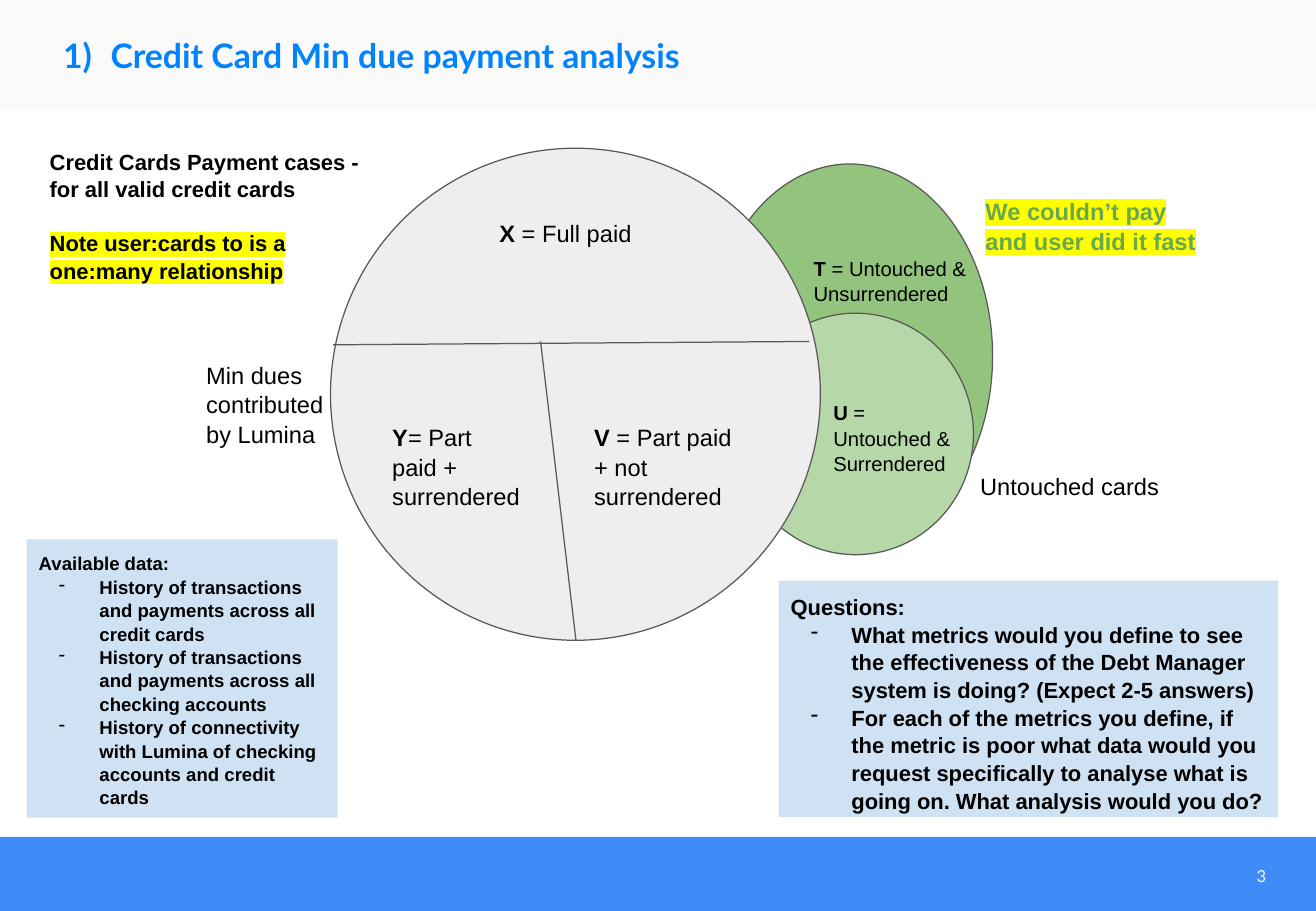
import dataclasses

import lxml.etree
import pptx
import pptx.dml.color
import pptx.enum.shapes
import pptx.enum.text
import pptx.oxml.ns
import pptx.util

Cm = pptx.util.Cm
Pt = pptx.util.Pt
RECTANGLE = pptx.enum.shapes.MSO_SHAPE.RECTANGLE
OVAL = pptx.enum.shapes.MSO_SHAPE.OVAL
ANCHOR = pptx.enum.text.MSO_ANCHOR
ALIGN = pptx.enum.text.PP_ALIGN


@dataclasses.dataclass(frozen=True)
class Theme:
    """Hold the colours, fonts and type sizes of the slide."""
    title: str = "0083FB"
    header: str = "FAFAFB"
    footer: str = "3F8BF7"
    page_number: str = "F5F6F7"
    ink: str = "000000"
    outline: str = "595959"
    paid: str = "EEEEEE"
    untouched: str = "93C47D"
    surrendered: str = "B6D7A8"
    panel: str = "CFE2F3"
    remark: str = "6AA84F"
    highlight: str = "FFFF00"
    heading_font: str = "Lato"
    body_font: str = "Arial"
    title_size: float = 20
    label_size: float = 14
    note_size: float = 13
    small_label_size: float = 12
    data_size: float = 11
    page_size: float = 9.8
    line_spacing: float = 1.05


@dataclasses.dataclass(frozen=True)
class Box:
    """Describe a rectangle in centimetres."""
    left: float
    top: float
    width: float
    height: float

    def inner(self, left, top, width, height):
        """Return a box placed relative to this one."""
        return Box(self.left + left, self.top + top, width, height)

    def lengths(self):
        """Return the four lengths that shapes are placed with."""
        return [Cm(value) for value in dataclasses.astuple(self)]


THEME = Theme()
rgb = pptx.dml.color.RGBColor.from_string


def add_child(parent, tag, **attributes):
    """Append a drawing element and return it."""
    return lxml.etree.SubElement(parent, pptx.oxml.ns.qn(tag), attributes)


def style_paragraph(paragraph, size, color=THEME.ink, font=THEME.body_font, bold=None):
    """Set the font shared by all runs of a paragraph."""
    paragraph.font.size = Pt(size)
    paragraph.font.name = font
    paragraph.font.color.rgb = rgb(color)
    paragraph.font.bold = bold


def set_bullet(paragraph, color, indent, tag, **attributes):
    """Give a paragraph a hanging bullet or number."""
    properties = paragraph._p.get_or_add_pPr()
    properties.set("marL", str(Cm(1.27)))
    properties.set("indent", str(Cm(-indent)))
    bullet_color = lxml.etree.Element(pptx.oxml.ns.qn("a:buClr"))
    add_child(bullet_color, "a:srgbClr", val=color)
    bullet = lxml.etree.Element(pptx.oxml.ns.qn(tag), attributes)
    default_font = properties.find(pptx.oxml.ns.qn("a:defRPr"))
    default_font.addprevious(bullet_color)
    default_font.addprevious(bullet)


def set_margins(frame, side=0.25, vertical=0.25):
    """Wrap a text frame and set its margins."""
    frame.word_wrap = True
    frame.margin_left = frame.margin_right = Cm(side)
    frame.margin_top = frame.margin_bottom = Cm(vertical)


def add_shape(slide, kind, box, fill, line=None):
    """Add a flat filled shape."""
    shape = slide.shapes.add_shape(kind, *box.lengths())
    shape.shadow.inherit = False
    shape.fill.solid()
    shape.fill.fore_color.rgb = rgb(fill)
    if line:
        shape.line.color.rgb = rgb(line)
        shape.line.width = Pt(0.75)
    else:
        shape.line.fill.background()
    return shape


def add_label(slide, box, text, size, symbol="", color=THEME.ink, bold=False):
    """Add a text box, with an optional bold symbol before its text."""
    frame = slide.shapes.add_textbox(*box.lengths()).text_frame
    set_margins(frame)
    paragraph = frame.paragraphs[0]
    paragraph.line_spacing = THEME.line_spacing
    style_paragraph(paragraph, size, color, bold=bold)
    if symbol:
        run = paragraph.add_run()
        run.text = symbol
        run.font.bold = True
    paragraph.add_run().text = text
    return frame


def highlight(paragraph):
    """Mark every run of a paragraph."""
    for run in paragraph.runs:
        mark = add_child(run._r.get_or_add_rPr(), "a:highlight")
        add_child(mark, "a:srgbClr", val=THEME.highlight)


def add_line(slide, box, start, end):
    """Draw a thin line between two points of a box."""
    line = slide.shapes.add_connector(
        pptx.enum.shapes.MSO_CONNECTOR.STRAIGHT,
        Cm(box.left + start[0]), Cm(box.top + start[1]),
        Cm(box.left + end[0]), Cm(box.top + end[1]))
    line.line.color.rgb = rgb(THEME.outline)
    line.line.width = Pt(0.75)
    add_child(line._element.spPr, "a:effectLst")


def build_header(slide, box):
    """Draw the top band and the numbered title."""
    band = add_shape(slide, RECTANGLE, box, THEME.header)
    title = slide.shapes.title
    band._element.getparent().insert(2, band._element)
    title.left, title.top, title.width, title.height = box.inner(0.79, 0.71, 19.25, 0.97).lengths()
    frame = title.text_frame
    frame.text = "Credit Card Min due payment analysis"
    set_margins(frame, vertical=0.13)
    frame.auto_size = pptx.enum.text.MSO_AUTO_SIZE.NONE
    frame.vertical_anchor = ANCHOR.MIDDLE
    paragraph = frame.paragraphs[0]
    paragraph.alignment = ALIGN.LEFT
    paragraph.line_spacing = 0.9
    style_paragraph(paragraph, THEME.title_size, THEME.title, THEME.heading_font, True)
    set_bullet(paragraph, THEME.title, 0.99, "a:buAutoNum", type="arabicParenR")


def build_footer(slide, box):
    """Draw the bottom band with the page number."""
    add_shape(slide, RECTANGLE, box, THEME.footer)
    frame = slide.shapes.add_textbox(*box.inner(20.52, 0.31, 6.2, 1.02).lengths()).text_frame
    set_margins(frame, vertical=0.13)
    frame.vertical_anchor = ANCHOR.MIDDLE
    paragraph = frame.paragraphs[0]
    paragraph.text = "3"
    paragraph.alignment = ALIGN.RIGHT
    style_paragraph(paragraph, THEME.page_size, THEME.page_number, THEME.heading_font)


def build_diagram(slide, box):
    """Draw the overlapping payment groups and their labels."""
    for place, fill in [((7.87, 0.33, 5.97, 8.03), THEME.untouched),
                        ((8.51, 3.45, 4.93, 5.05), THEME.surrendered),
                        ((0, 0, 10.24, 10.29), THEME.paid)]:
        add_shape(slide, OVAL, box.inner(*place), fill, THEME.outline)
    add_line(slide, box, (0.05, 4.11), (10.01, 4.04))
    add_line(slide, box, (4.39, 4.04), (5.13, 10.29))
    for symbol, text, left, top, width, size in [
            ("X", " = Full paid", 3.28, 1.19, 3.53, THEME.label_size),
            ("Y", "= Part paid + surrendered", 1.04, 5.46, 3.18, THEME.label_size),
            ("V", " = Part paid + not surrendered", 5.26, 5.46, 3.53, THEME.label_size),
            ("T", " = Untouched & Unsurrendered", 9.85, 1.98, 3.86, THEME.small_label_size),
            ("U", " = Untouched & Surrendered", 10.26, 5, 3.18, THEME.small_label_size)]:
        add_label(slide, box.inner(left, top, width, 1.47), text, size, symbol)


def build_notes(slide, box):
    """Place the remarks around the diagram."""
    add_label(slide, box.inner(3.27, 4.44, 3.53, 1.96),
              "Min dues contributed by Lumina", THEME.label_size)
    add_label(slide, box.inner(19.45, 6.76, 5.03, 1.96), "Untouched cards", THEME.label_size)
    remark = add_label(slide, box.inner(19.56, 1.02, 4.93, 1.96),
                       "We couldn’t pay and user did it fast", THEME.label_size,
                       color=THEME.remark, bold=True)
    highlight(remark.paragraphs[0])
    cases = add_label(slide, box.inner(0, 0, 7.01, 1.96),
                      "Credit Cards Payment cases - for all valid credit cards",
                      THEME.note_size, bold=True)
    relation = cases.add_paragraph()
    relation.text = "Note user:cards to is a one:many relationship"
    relation.line_spacing = THEME.line_spacing
    relation.space_before = Pt(15.7)
    style_paragraph(relation, THEME.note_size, bold=True)
    highlight(relation)


def build_panel(slide, box, heading, items, size):
    """Draw a tinted panel with a heading and a dashed list."""
    frame = add_shape(slide, RECTANGLE, box, THEME.panel).text_frame
    set_margins(frame)
    frame.vertical_anchor = ANCHOR.TOP
    frame.text = "\n".join([heading, *items])
    for index, paragraph in enumerate(frame.paragraphs):
        paragraph.alignment = ALIGN.LEFT
        paragraph.line_spacing = THEME.line_spacing
        style_paragraph(paragraph, size, bold=True)
        if index:
            set_bullet(paragraph, THEME.ink, 0.85, "a:buChar", char="-")


def main():
    """Build the slide and save it."""
    presentation = pptx.Presentation()
    presentation.slide_width, presentation.slide_height = Cm(27.51), Cm(19.05)
    slide = presentation.slides.add_slide(presentation.slide_layouts[5])
    build_header(slide, Box(0, 0, 27.51, 2.31))
    build_footer(slide, Box(0, 17.5, 27.51, 1.55))
    build_diagram(slide, Box(6.91, 3.1, 13.84, 10.29))
    build_notes(slide, Box(0.79, 2.82, 24.49, 8.72))
    build_panel(slide, Box(16.28, 12.14, 10.44, 4.95), "Questions:", [
        "What metrics would you define to see the effectiveness of the Debt Manager "
        "system is doing? (Expect 2-5 answers)",
        "For each of the metrics you define, if the metric is poor what data would you "
        "request specifically to analyse what is going on. What analysis would you do?",
    ], THEME.note_size)
    build_panel(slide, Box(0.56, 11.28, 6.5, 5.82), "Available data:", [
        "History of transactions and payments across all credit cards",
        "History of transactions and payments across all checking accounts",
        "History of connectivity with Lumina of checking accounts and credit cards",
    ], THEME.data_size)
    presentation.save("out.pptx")


if __name__ == "__main__":
    main()
